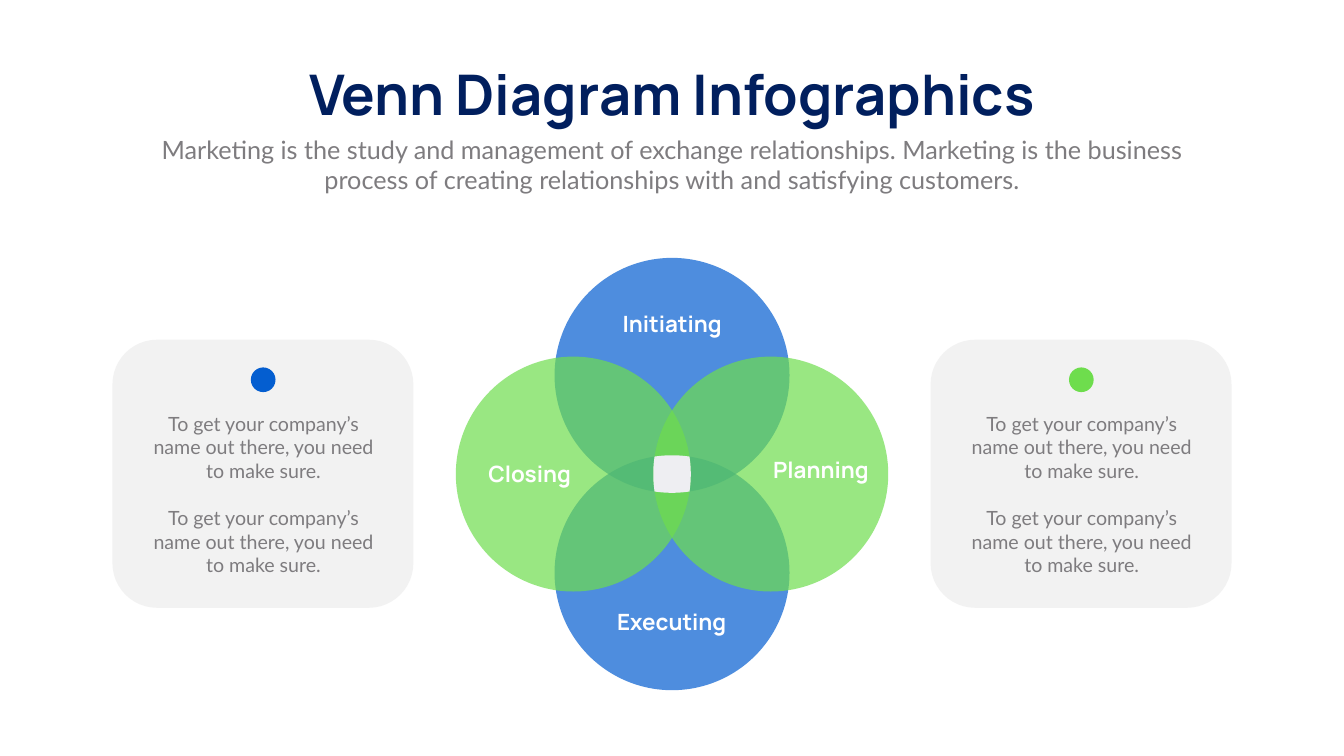
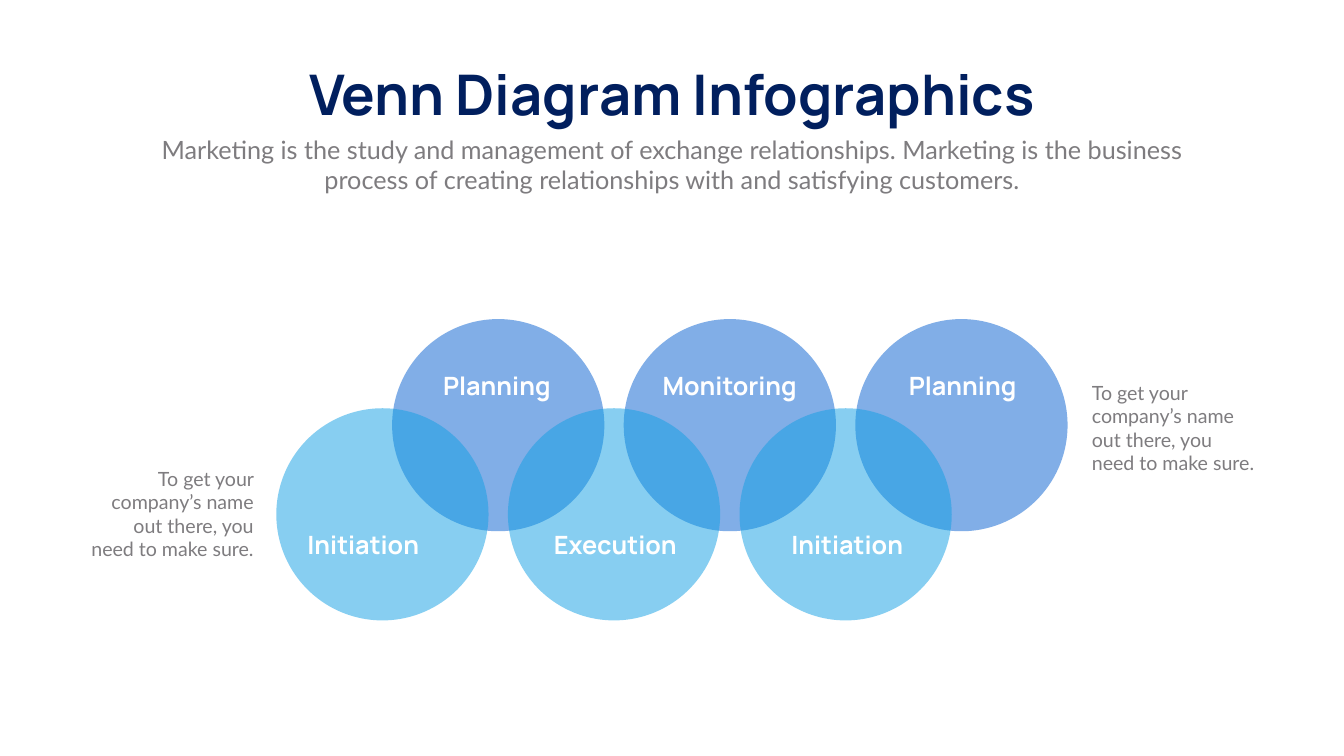
"""Build two Venn diagram slides."""
import math
from dataclasses import dataclass

from lxml import etree
from pptx import Presentation
from pptx import util as u
from pptx.dml.color import RGBColor
from pptx.enum import shapes, text
from pptx.oxml.ns import qn


@dataclass(frozen=True)
class Theme:
    """Colours, fonts and type sizes of the deck."""
    navy: str = "011F5E"
    blue: str = "045ED0"
    sky: str = "109FE4"
    green: str = "6EDD4D"
    grey: str = "7E7C7F"
    card: str = "F2F2F2"
    core: str = "EEEEF2"
    white: str = "FFFFFF"
    head: str = "Manrope"
    body: str = "Lato"
    title_size: int = 80
    lead_size: int = 36
    petal_size: int = 32
    chain_size: int = 36
    note_size: int = 28


T = Theme()
WIDTH, HEIGHT = 1919.5, 1080
CENTRE, LEFT, RIGHT = text.PP_ALIGN.CENTER, text.PP_ALIGN.LEFT, text.PP_ALIGN.RIGHT
TITLE = "Venn Diagram Infographics"
LEAD = ("Marketing is the study and management of exchange relationships. "
        "Marketing is the business process of creating relationships with "
        "and satisfying customers.")
NOTE = "To get your company’s name out there, you need to make sure."


def paint(sp, color, alpha=100):
    """Give a shape a flat fill, no line and no shadow."""
    sp.shadow.inherit = False
    sp.line.fill.background()
    sp.fill.solid()
    sp.fill.fore_color.rgb = RGBColor.from_string(color)
    if alpha < 100:
        clr = sp.fill._xPr.find(qn("a:solidFill"))[0]
        etree.SubElement(clr, qn("a:alpha"), val=str(alpha * 1000))


def add_shape(s, kind, box, color, alpha=100):
    """Draw a filled preset shape."""
    paint(s.shapes.add_shape(kind, *map(u.Pt, box)), color, alpha)


def add_circle(s, x, y, size, color, alpha=100):
    """Draw a circle from its top left corner."""
    add_shape(s, shapes.MSO_SHAPE.OVAL, (x, y, size, size), color, alpha)


def add_text(s, box, paragraphs, font, size, color, bold=False, align=CENTRE, gap=0):
    """Write paragraphs in one style, with a gap between them."""
    tf = s.shapes.add_textbox(*map(u.Pt, box)).text_frame
    tf.word_wrap = True
    tf.auto_size = text.MSO_AUTO_SIZE.SHAPE_TO_FIT_TEXT
    style = {"name": font, "size": u.Pt(size), "bold": bold}
    for i, words in enumerate(paragraphs):
        p = tf.add_paragraph() if i else tf.paragraphs[0]
        p.alignment = align
        if i:
            p.space_before = u.Pt(gap)
        r = p.add_run()
        r.text = words
        for key, value in style.items():
            setattr(r.font, key, value)
        r.font.color.rgb = RGBColor.from_string(color)


def add_label(s, box, words, size):
    """Write a white heading on a circle."""
    add_text(s, box, [words], T.head, size, T.white, bold=True)


def add_note(s, box, paragraphs, align=CENTRE):
    """Write grey notes with one empty line's height between them."""
    add_text(s, box, paragraphs, T.body, T.note_size, T.grey, align=align,
             gap=1.2 * T.note_size)


def add_core(s, cx, cy, radius, offset):
    """Draw the area that all four circles of the flower share."""
    reach = radius ** 2 - offset ** 2
    points = []
    for degrees in range(0, 360, 5):
        angle = math.radians(degrees)
        dx, dy = math.cos(angle), math.sin(angle)
        inward = -offset * max(abs(dx), abs(dy))
        r = inward + math.sqrt(inward ** 2 + reach)
        points.append((u.Pt(cx + r * dx), u.Pt(cy + r * dy)))
    builder = s.shapes.build_freeform(*points[0])
    builder.add_line_segments(points[1:], close=True)
    paint(builder.convert_to_shape(), T.core)


def add_card(s, x, color):
    """Draw a rounded card with a dot and two notes."""
    y = 485.3
    add_shape(s, shapes.MSO_SHAPE.ROUNDED_RECTANGLE, (x, y, 429.8, 383), T.card)
    add_note(s, (x + 40.7, y + 99.4, 350, 244.8), [NOTE, NOTE])
    add_circle(s, x + 197.6, y + 39.6, 35.3, color)


def new_slide(prs):
    """Add a blank slide with the shared title and lead."""
    s = prs.slides.add_slide(prs.slide_layouts[6])
    add_text(s, (240.5, 82.1, 1438.6, 104.4), [TITLE], T.head, T.title_size, T.navy, bold=True)
    add_text(s, (210.2, 187.9, 1499, 94.3), [LEAD], T.body, T.lead_size, T.grey)
    return s


def flower_slide(prs):
    """Build the flower of four circles between two cards."""
    s = new_slide(prs)
    cx, cy, radius, offset = 959.8, 677.2, 167.8, 141
    for dx, dy, color in ((0, 1, T.blue), (0, -1, T.blue), (-1, 0, T.green), (1, 0, T.green)):
        add_circle(s, cx + dx * offset - radius, cy + dy * offset - radius,
                   2 * radius, color, 70)
    add_core(s, cx, cy, radius, offset)
    for words, x, y in (("Executing", 853.2, 865.4), ("Planning", 1066.3, 648.7),
                        ("Initiating", 853.9, 439.2), ("Closing", 650.2, 653.8)):
        add_label(s, (x, y, 212.4, 46.1), words, T.petal_size)
    for x, color in ((160.6, T.blue), (1329.1, T.green)):
        add_card(s, x, color)


def chain_slide(prs):
    """Build the chain of six circles in two rows."""
    s = new_slide(prs)
    left, step, size = 394.6, 165.4, 303.1
    rows = ((583.2, 752.4, T.sky), (455.8, 525.6, T.blue))
    for i in (1, 0, 3, 2, 5, 4):
        y, _, color = rows[i % 2]
        add_circle(s, left + i * step, y, size, color, 50)
    labels = (("Initiation", 394.6), ("Planning", 585.4), ("Execution", 754.6),
              ("Monitoring", 918), ("Initiation", 1085.8), ("Planning", 1250.6))
    for i, (words, x) in enumerate(labels):
        add_label(s, (x, rows[i % 2][1], 248.4, 51.1), words, T.chain_size)
    for x, y, align in ((123.1, 663.1, RIGHT), (1552.3, 540, LEFT)):
        add_note(s, (x, y, 246.2, 143.3), [NOTE], align)


def main():
    """Build and save the deck."""
    prs = Presentation()
    prs.slide_width, prs.slide_height = u.Pt(WIDTH), u.Pt(HEIGHT)
    flower_slide(prs)
    chain_slide(prs)
    prs.save("out.pptx")


if __name__ == "__main__":
    main()
